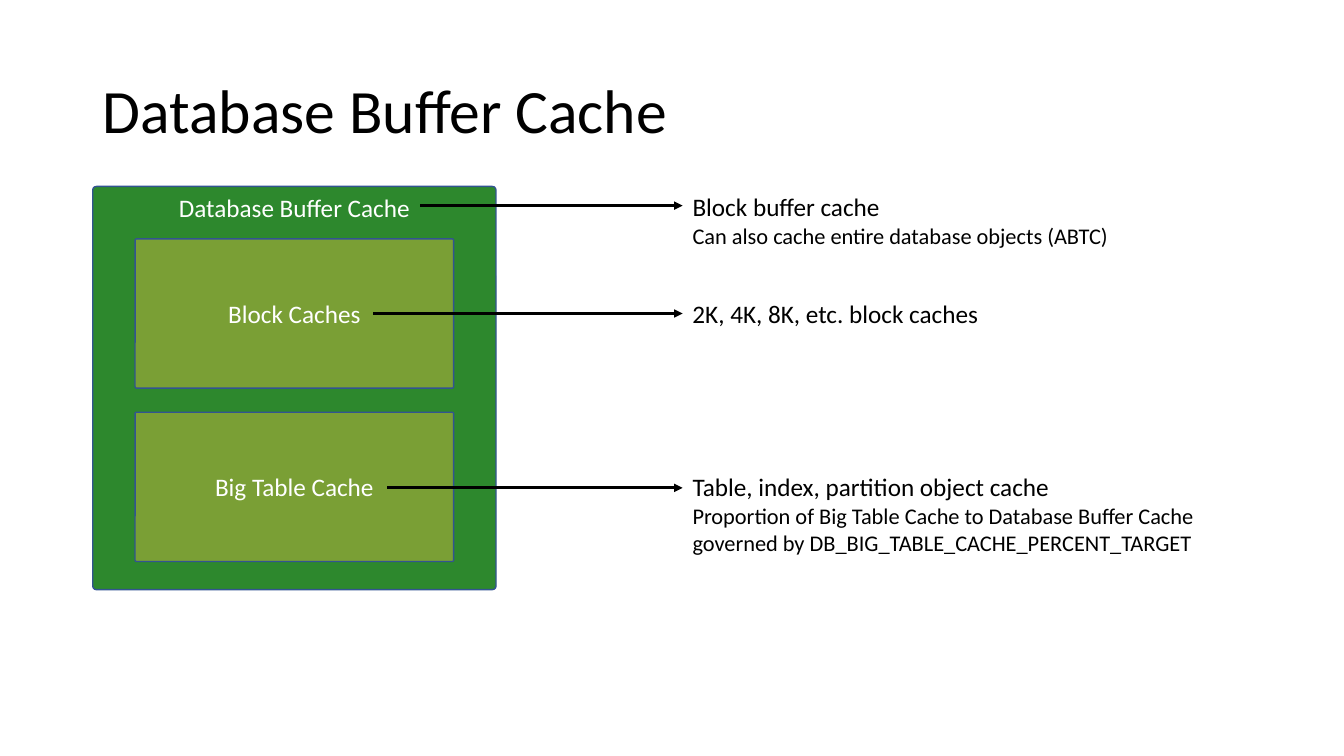
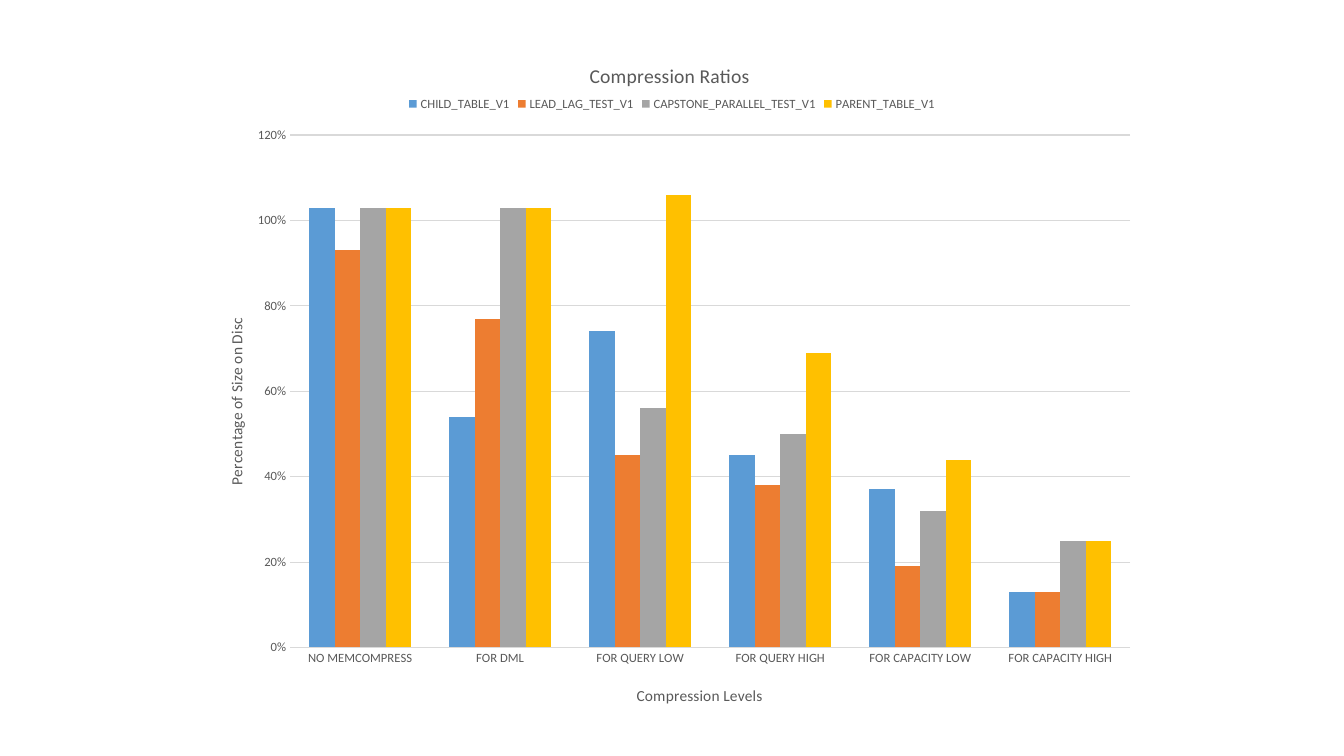
import pptx
import pptx.chart.data
import pptx.dml.color
import pptx.enum.chart
import pptx.enum.shapes
import pptx.enum.text
import pptx.oxml
import pptx.oxml.ns
import pptx.util

Inches = pptx.util.Inches
Pt = pptx.util.Pt
RGBColor = pptx.dml.color.RGBColor
ANCHOR = pptx.enum.text.MSO_ANCHOR
ALIGN = pptx.enum.text.PP_ALIGN
qn = pptx.oxml.ns.qn

FONT = "Calibri"
BLACK = RGBColor(0x00, 0x00, 0x00)
WHITE = RGBColor(0xFF, 0xFF, 0xFF)
GREEN = RGBColor(0x2D, 0x88, 0x2D)
OLIVE = RGBColor(0x7A, 0x9F, 0x35)
BORDER = RGBColor(0x32, 0x54, 0x91)
CHART_TEXT = RGBColor(0x59, 0x59, 0x59)
GRID = RGBColor(0xD9, 0xD9, 0xD9)
SERIES_COLORS = [
    RGBColor(0x5B, 0x9B, 0xD5),
    RGBColor(0xED, 0x7D, 0x31),
    RGBColor(0xA5, 0xA5, 0xA5),
    RGBColor(0xFF, 0xC0, 0x00),
]


def add_run(paragraph, text, size, color):
    run = paragraph.add_run()
    run.text = text
    run.font.name = FONT
    run.font.size = Pt(size)
    run.font.bold = False
    run.font.color.rgb = color


def place_in_chart(element, index, target, **fractions):
    for old_layout in element.findall(qn("c:layout")):
        element.remove(old_layout)
    layout = pptx.oxml.parse_xml(f"<c:layout {pptx.oxml.ns.nsdecls('c')}><c:manualLayout/></c:layout>")
    settings = {"xMode": "edge", "yMode": "edge", **fractions}
    if target:
        settings = {"layoutTarget": target, **settings}
    for tag, value in settings.items():
        layout[0].append(layout[0].makeelement(qn(f"c:{tag}"), {"val": str(value)}))
    element.insert(index, layout)


presentation = pptx.Presentation()
presentation.slide_width = Inches(13.33)
presentation.slide_height = Inches(7.5)
blank_layout = presentation.slide_layouts[6]

slide = presentation.slides.add_slide(blank_layout)
title = slide.shapes.add_textbox(Inches(0.92), Inches(0.4), Inches(11.5), Inches(1.45))
title.text_frame.word_wrap = True
title.text_frame.vertical_anchor = ANCHOR.MIDDLE
title.text_frame.paragraphs[0].line_spacing = 0.9
add_run(title.text_frame.paragraphs[0], "Database Buffer Cache", 44, BLACK)

notes = [
    (1.85, 4.38, 0.67, False, ["Block buffer cache", "Can also cache entire database objects (ABTC)"]),
    (2.91, 3.07, 0.4, False, ["2K, 4K, 8K, etc. block caches"]),
    (4.63, 5.65, 0.94, True, [
        "Table, index, partition object cache",
        "Proportion of Big Table Cache to Database Buffer Cache "
        "governed by DB_BIG_TABLE_CACHE_PERCENT_TARGET",
    ]),
]
for top, width, height, wrap, lines in notes:
    note = slide.shapes.add_textbox(Inches(6.77), Inches(top), Inches(width), Inches(height))
    note.text_frame.word_wrap = wrap
    for index, line in enumerate(lines):
        paragraph = note.text_frame.add_paragraph() if index else note.text_frame.paragraphs[0]
        add_run(paragraph, line, 16 if index else 18, BLACK)

caches = [
    ("Database Buffer Cache", 0.92, 1.85, 4, 4, GREEN, ANCHOR.TOP),
    ("Block Caches", 1.34, 2.37, 3.16, 1.48, OLIVE, ANCHOR.MIDDLE),
    ("Big Table Cache", 1.34, 4.09, 3.16, 1.48, OLIVE, ANCHOR.MIDDLE),
]
for label, left, top, width, height, color, anchor in caches:
    cache = slide.shapes.add_shape(
        pptx.enum.shapes.MSO_SHAPE.ROUNDED_RECTANGLE,
        Inches(left), Inches(top), Inches(width), Inches(height),
    )
    cache.adjustments[0] = 0.009
    cache.shadow.inherit = False
    cache.fill.solid()
    cache.fill.fore_color.rgb = color
    cache.line.color.rgb = BORDER
    cache.line.width = Pt(1)
    cache.text_frame.word_wrap = True
    cache.text_frame.vertical_anchor = anchor
    paragraph = cache.text_frame.paragraphs[0]
    paragraph.alignment = ALIGN.CENTER
    add_run(paragraph, label, 18, WHITE)

for start, height in [(4.17, 2.04), (3.7, 3.11), (3.84, 4.84)]:
    arrow = slide.shapes.add_connector(
        pptx.enum.shapes.MSO_CONNECTOR.STRAIGHT,
        Inches(start), Inches(height), Inches(6.77), Inches(height),
    )
    arrow.line.color.rgb = BLACK
    arrow.line.width = Pt(2)
    line_element = arrow.line._get_or_add_ln()
    line_element.append(line_element.makeelement(qn("a:tailEnd"), {"type": "triangle"}))
    properties = arrow._element.spPr
    properties.append(properties.makeelement(qn("a:effectLst"), {}))

slide = presentation.slides.add_slide(blank_layout)
data = pptx.chart.data.CategoryChartData(number_format="0%")
data.categories = [
    "NO MEMCOMPRESS", "FOR DML", "FOR QUERY LOW",
    "FOR QUERY HIGH", "FOR CAPACITY LOW", "FOR CAPACITY HIGH",
]
data.add_series("CHILD_TABLE_V1", [1.03, 0.54, 0.74, 0.45, 0.37, 0.13])
data.add_series("LEAD_LAG_TEST_V1", [0.93, 0.77, 0.45, 0.38, 0.19, 0.13])
data.add_series("CAPSTONE_PARALLEL_TEST_V1", [1.03, 1.03, 0.56, 0.5, 0.32, 0.25])
data.add_series("PARENT_TABLE_V1", [1.03, 1.03, 1.06, 0.69, 0.44, 0.25])
chart = slide.shapes.add_chart(
    pptx.enum.chart.XL_CHART_TYPE.COLUMN_CLUSTERED,
    Inches(1.93), Inches(0.31), Inches(9.47), Inches(6.87), data,
).chart
chart.font.name = FONT
chart.font.size = Pt(10)
chart.font.color.rgb = BLACK

plot = chart.plots[0]
plot.gap_width = 150
plot.overlap = 0
plot.vary_by_categories = False
for series, color in zip(plot.series, SERIES_COLORS):
    series.format.fill.solid()
    series.format.fill.fore_color.rgb = color

category_axis = chart.category_axis
value_axis = chart.value_axis
for axis in (category_axis, value_axis):
    axis.major_tick_mark = pptx.enum.chart.XL_TICK_MARK.NONE
    axis.minor_tick_mark = pptx.enum.chart.XL_TICK_MARK.NONE
category_axis.format.line.color.rgb = GRID
category_axis.format.line.width = Pt(0.75)
value_axis.format.line.fill.background()
value_axis.minimum_scale = 0
value_axis.maximum_scale = 1.2
value_axis.major_unit = 0.2
value_axis.tick_labels.number_format = "0%"
value_axis.tick_labels.number_format_is_linked = False
value_axis.major_gridlines.format.line.color.rgb = GRID
value_axis.major_gridlines.format.line.width = Pt(0.75)

chart.has_legend = True
chart.legend.position = pptx.enum.chart.XL_LEGEND_POSITION.TOP
chart.legend.include_in_layout = False
for font in (category_axis.tick_labels.font, value_axis.tick_labels.font, chart.legend.font):
    font.name = FONT
    font.size = Pt(9)
    font.color.rgb = CHART_TEXT

chart_titles = [
    (chart.chart_title, "Compression Ratios", 14, 0.41, 0.04),
    (category_axis.axis_title, "Compression Levels", 11, 0.46, 0.94),
    (value_axis.axis_title, "Percentage of Size on Disc", 11, 0.03, 0.41),
]
for chart_title, text, size, x, y in chart_titles:
    add_run(chart_title.text_frame.paragraphs[0], text, size, CHART_TEXT)
    place_in_chart(chart_title._element, 1, None, x=x, y=y)
value_axis.axis_title.text_frame._txBody.bodyPr.set("rot", "-5400000")
place_in_chart(chart.legend._element, 1, None, x=0.22, y=0.09, w=0.56, h=0.03)
place_in_chart(chart._chartSpace.chart.plotArea, 0, "inner", x=0.1, y=0.15, w=0.88, h=0.74)

presentation.save("out.pptx")
